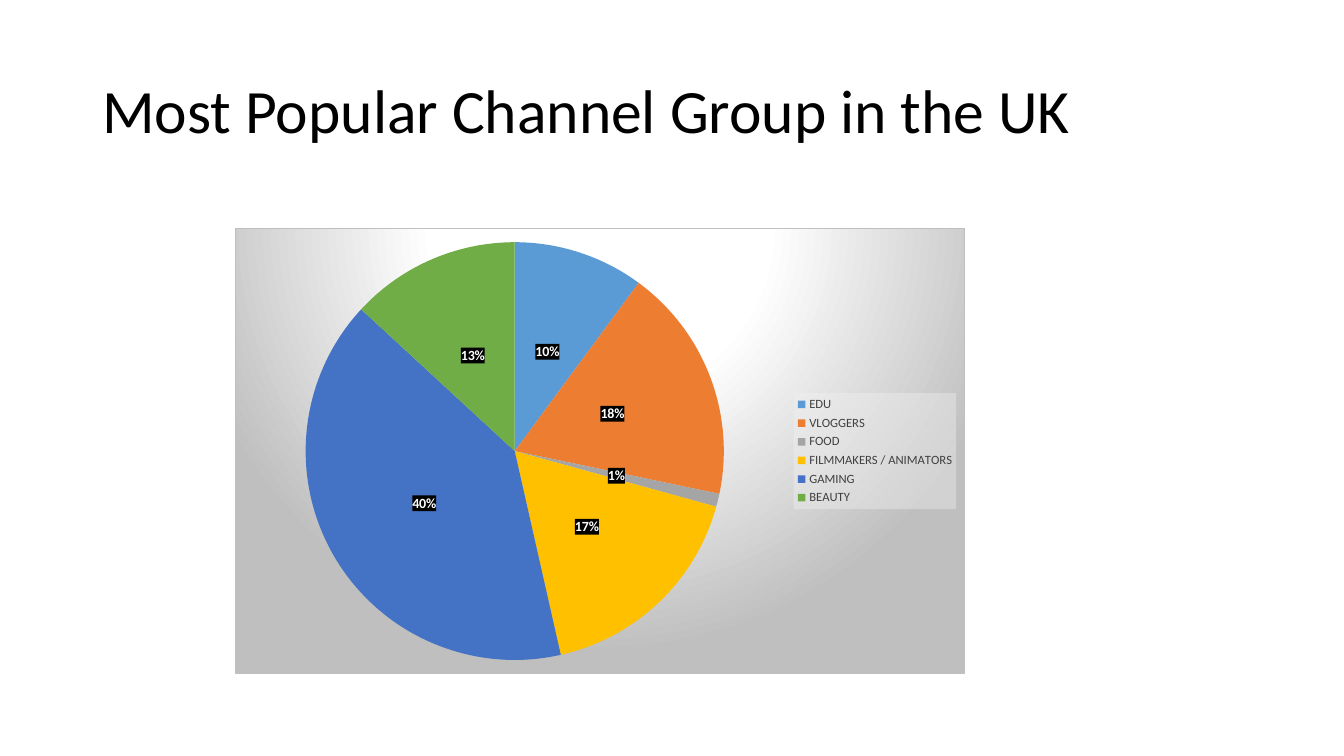
from lxml.etree import fromstring
from pptx import Presentation
from pptx.chart.data import CategoryChartData
from pptx.dml.color import RGBColor
from pptx.enum.chart import XL_CHART_TYPE, XL_LABEL_POSITION, XL_LEGEND_POSITION
from pptx.enum.text import MSO_ANCHOR
from pptx.util import Pt

COLOURS = {
    "title": "000000",
    "label_text": "FFFFFF",
    "label_fill": "000000",
    "legend_text": "404040",
    "legend_fill": "F2F2F2",
    "panel_light": "FFFFFF",
    "panel_dark": "BFBFBF",
}
CHANNEL_GROUPS = [
    ("EDU", 10, "5B9BD5"),
    ("VLOGGERS", 18, "ED7D31"),
    ("FOOD", 1, "A5A5A5"),
    ("FILMMAKERS / ANIMATORS", 17, "FFC000"),
    ("GAMING", 40, "4472C4"),
    ("BEAUTY", 13, "70AD47"),
]
TITLE_FONT = {"name": "Calibri", "size": Pt(44)}
CHART_FONT = {"name": "Calibri", "size": Pt(10)}
LABEL_FONT = {"name": "Calibri", "size": Pt(10), "bold": True}
LEGEND_FONT = {"name": "Calibri", "size": Pt(9)}
NAMESPACES = (
    'xmlns:c="http://schemas.openxmlformats.org/drawingml/2006/chart" '
    'xmlns:a="http://schemas.openxmlformats.org/drawingml/2006/main"'
)


def set_values(target, values):
    for name, value in values.items():
        setattr(target, name, value)


def set_font(font, values, colour):
    set_values(font, values)
    font.color.rgb = RGBColor.from_string(COLOURS[colour])


def shape_properties(content):
    return fromstring(f"<c:spPr {NAMESPACES}>{content}</c:spPr>")


def sheer_fill(colour, opacity):
    return shape_properties(
        f'<a:solidFill><a:srgbClr val="{COLOURS[colour]}">'
        f'<a:alpha val="{opacity * 1000}"/></a:srgbClr></a:solidFill>'
        "<a:ln><a:noFill/></a:ln>"
    )


def panel_fill():
    stops = [(0, "panel_light"), (39, "panel_light"), (100, "panel_dark")]
    stop_list = "".join(
        f'<a:gs pos="{place * 1000}"><a:srgbClr val="{COLOURS[colour]}"/></a:gs>'
        for place, colour in stops
    )
    return shape_properties(
        f'<a:gradFill><a:gsLst>{stop_list}</a:gsLst><a:path path="circle">'
        '<a:fillToRect l="50000" t="-80000" r="50000" b="180000"/></a:path></a:gradFill>'
        f'<a:ln w="{Pt(0.75)}"><a:solidFill><a:srgbClr val="{COLOURS["panel_dark"]}"/>'
        "</a:solidFill></a:ln>"
    )


def add_title(page, left, top, width, height):
    box = page.shapes.add_textbox(Pt(left), Pt(top), Pt(width), Pt(height))
    set_values(box.text_frame, {"word_wrap": True, "vertical_anchor": MSO_ANCHOR.MIDDLE})
    para = box.text_frame.paragraphs[0]
    para.line_spacing = 0.9
    span = para.add_run()
    span.text = "Most Popular Channel Group in the UK"
    set_font(span.font, TITLE_FONT, "title")


def add_pie(page, left, top, width, height):
    names, shares, slice_colours = zip(*CHANNEL_GROUPS)
    data = CategoryChartData()
    data.categories = names
    data.add_series("Series 1", shares)
    chart = page.shapes.add_chart(
        XL_CHART_TYPE.PIE, Pt(left), Pt(top), Pt(width), Pt(height), data
    ).chart
    set_values(chart, {"has_title": False, "has_legend": True})
    set_font(chart.font, CHART_FONT, "title")
    chart.element.chart.addnext(panel_fill())

    plot = chart.plots[0]
    plot.vary_by_categories = True
    series = plot.series[0]
    for index, colour in enumerate(slice_colours):
        piece = series.points[index].format
        piece.fill.solid()
        piece.fill.fore_color.rgb = RGBColor.from_string(colour)
        piece.line.fill.background()

    labels = series.data_labels
    set_values(labels, {
        "show_percentage": True,
        "show_value": False,
        "show_legend_key": False,
        "number_format": "0%",
        "number_format_is_linked": False,
        "position": XL_LABEL_POSITION.CENTER,
    })
    set_font(labels.font, LABEL_FONT, "label_text")

    legend = chart.legend
    set_values(legend, {"position": XL_LEGEND_POSITION.RIGHT, "include_in_layout": False})
    set_font(legend.font, LEGEND_FONT, "legend_text")

    for holder, fill in (
        ("c:dLbls", sheer_fill("label_fill", 75)),
        ("c:legend", sheer_fill("legend_fill", 39)),
    ):
        chart.element.xpath(f".//c:ser/{holder}/c:txPr | c:chart/{holder}/c:txPr")[0].addprevious(fill)


def main():
    deck = Presentation()
    set_values(deck, {"slide_width": Pt(960), "slide_height": Pt(540)})
    page = deck.slides.add_slide(deck.slide_layouts[6])
    add_title(page, 66, 28.75, 828, 104.4)
    add_pie(page, 168, 162.75, 521.25, 319)
    deck.save("out.pptx")


if __name__ == "__main__":
    main()
